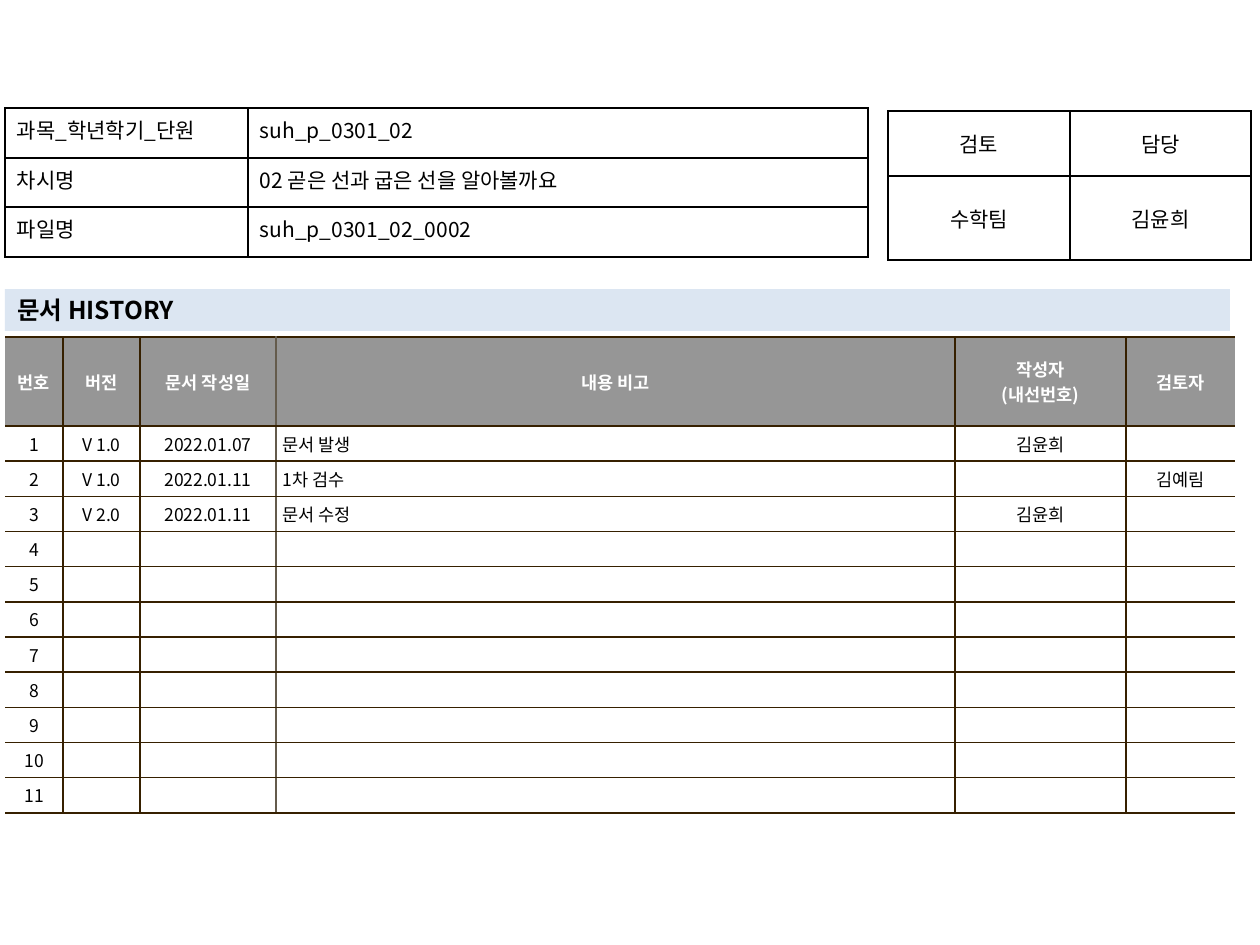
from lxml.etree import SubElement
from pptx import Presentation
from pptx.dml.color import RGBColor
from pptx.enum.shapes import MSO_SHAPE
from pptx.enum.text import MSO_ANCHOR as ANCHOR, PP_ALIGN as ALIGN
from pptx.oxml import parse_xml
from pptx.oxml.ns import nsdecls, qn
from pptx.util import Pt

PX = 914400 // 126
FONT = "Noto Sans CJK KR"
COLORS = {
    "black": "000000", "white": "FFFFFF", "header": "969696",
    "banner": "DCE6F2", "brown": "362000", "taupe": "645B4C",
}

# Content
TITLE = "문서 HISTORY"
INFO = [
    ("과목_학년학기_단원 ", "suh_p_0301_02"),
    ("차시명", "02 곧은 선과 굽은 선을 알아볼까요"),
    ("파일명", "suh_p_0301_02_0002"),
]
REVIEW = [("검토", "담당"), ("수학팀", "김윤희")]
HISTORY_HEADER = ("번호", "버전", "문서 작성일", "내용 비고", "작성자\n(내선번호)", "검토자")
HISTORY_ENTRIES = [
    ("V 1.0", "2022.01.07", "문서 발생", "김윤희", ""),
    ("V 1.0", "2022.01.11", "1차 검수", "", "김예림"),
    ("V 2.0", "2022.01.11", "문서 수정", "김윤희", ""),
]
HISTORY_ROWS = 11
NOTE_COLUMN = 3

# Layout in px
INFO_PLACE = dict(left=5, top=108, widths=[243, 620], heights=[50, 49, 50])
REVIEW_PLACE = dict(left=888, top=111, widths=[182, 181], heights=[65, 84])
BANNER_BOX = (5, 289, 1225, 42)
HISTORY_PLACE = dict(left=5, top=337, widths=[58, 77, 136, 679, 171, 109],
                     heights=[89] + [35] * HISTORY_ROWS)


def rgb(name):
    return RGBColor.from_string(COLORS[name])


def write(text_frame, text, size=12, color="black", bold=False, align=ALIGN.LEFT):
    text_frame.word_wrap = True
    for index, line in enumerate(text.split("\n")):
        paragraph = text_frame.add_paragraph() if index else text_frame.paragraphs[0]
        paragraph.alignment = align
        if not line:
            SubElement(paragraph._p, qn("a:endParaRPr"), sz=str(size * 100))
            continue
        run = paragraph.add_run()
        run.text = line
        run.font.size, run.font.bold, run.font.name = Pt(size), bold, FONT
        run.font.color.rgb = rgb(color)
        SubElement(run.font._element, qn("a:ea"), typeface=FONT)


def set_borders(cell, left, right, top, bottom):
    properties = cell._tc.get_or_add_tcPr()
    for index, (side, color) in enumerate(zip("LRTB", (left, right, top, bottom))):
        paint = (f'<a:solidFill><a:srgbClr val="{COLORS[color]}"/></a:solidFill>'
                 if color else "<a:noFill/>")
        line = f'<a:ln{side} {nsdecls("a")} w="12700">{paint}</a:ln{side}>'
        properties.insert(index, parse_xml(line))


def add_table(slide, rows, left, top, widths, heights, verticals, border,
              cell_format, margins=(12, 6), anchor=ANCHOR.MIDDLE):
    """Draw rows; verticals holds the colour of each vertical line, left to right."""
    frame = slide.shapes.add_table(len(rows), len(widths), left * PX, top * PX,
                                   sum(widths) * PX, sum(heights) * PX)
    table = frame.table
    table.first_row = table.horz_banding = False
    for column, width in zip(table.columns, widths):
        column.width = width * PX
    for r, (row, height) in enumerate(zip(rows, heights)):
        table.rows[r].height = height * PX
        for c, text in enumerate(row):
            cell = table.cell(r, c)
            cell.vertical_anchor = anchor
            cell.margin_left = cell.margin_right = margins[0] * PX
            cell.margin_top = cell.margin_bottom = margins[1] * PX
            fill, text_format = cell_format(r, c)
            if fill:
                cell.fill.solid()
                cell.fill.fore_color.rgb = rgb(fill)
            else:
                cell.fill.background()
            set_borders(cell, verticals[c], verticals[c + 1], border, border)
            write(cell.text_frame, text, **text_format)


def history_format(row, column):
    if row == 0:
        return "header", dict(size=10, color="white", bold=True, align=ALIGN.CENTER)
    align = ALIGN.LEFT if column == NOTE_COLUMN else ALIGN.CENTER
    return "white", dict(size=10, align=align)


def review_format(row, column):
    return None, dict(align=ALIGN.CENTER)


def info_format(row, column):
    return None, dict(align=ALIGN.LEFT if column else ALIGN.JUSTIFY)


def main():
    presentation = Presentation()
    presentation.slide_width, presentation.slide_height = 1260 * PX, 945 * PX
    slide = presentation.slides.add_slide(presentation.slide_layouts[6])

    # Document history, open at both sides
    blank = ("",) * (len(HISTORY_HEADER) - 1)
    entries = HISTORY_ENTRIES + [blank] * (HISTORY_ROWS - len(HISTORY_ENTRIES))
    history = [HISTORY_HEADER]
    history += [(str(number), *entry) for number, entry in enumerate(entries, 1)]
    add_table(slide, history, **HISTORY_PLACE, border="brown",
              verticals=[None, "brown", "brown", "taupe", "brown", "brown", None],
              cell_format=history_format, margins=(7, 5))

    # Review sign-off
    add_table(slide, REVIEW, **REVIEW_PLACE, border="black",
              verticals=["black"] * 3, cell_format=review_format)

    # Section banner
    banner = slide.shapes.add_shape(MSO_SHAPE.RECTANGLE, *(n * PX for n in BANNER_BOX))
    banner.shadow.inherit = False
    banner.fill.solid()
    banner.fill.fore_color.rgb = rgb("banner")
    banner.line.fill.background()
    banner.text_frame.vertical_anchor = ANCHOR.MIDDLE
    write(banner.text_frame, TITLE, size=14, bold=True)

    # Lesson information
    add_table(slide, INFO, **INFO_PLACE, border="black", verticals=["black"] * 3,
              cell_format=info_format, anchor=ANCHOR.TOP)

    presentation.save("out.pptx")


if __name__ == "__main__":
    main()
